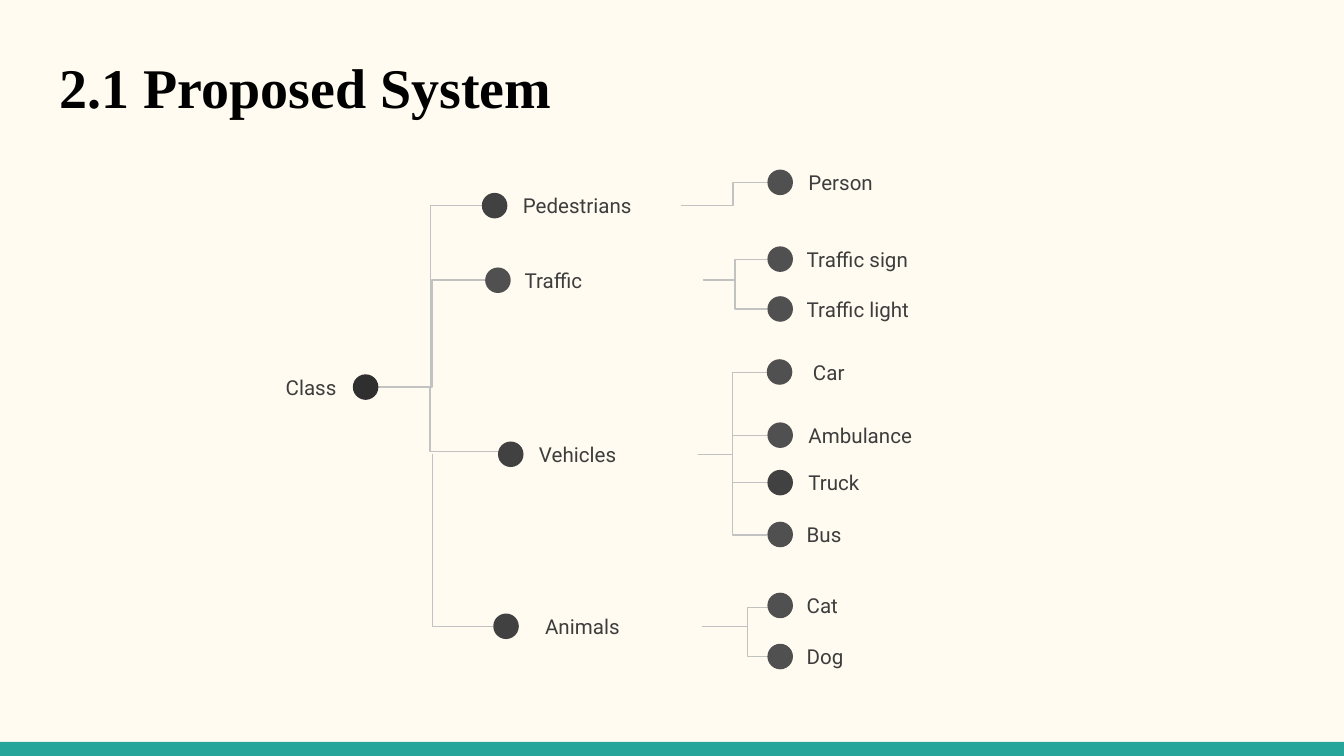
from lxml import etree
from pptx import Presentation
from pptx.dml.color import RGBColor
from pptx.enum.shapes import MSO_CONNECTOR as CONN, MSO_SHAPE as SHAPE
from pptx.enum.text import MSO_ANCHOR as ANCHOR, PP_ALIGN as ALIGN
from pptx.oxml.ns import qn
from pptx.util import Inches, Pt

# A 16:9 slide
prs = Presentation()
prs.slide_width = Inches(10)
prs.slide_height = prs.slide_width * 9 // 16
s = prs.slides.add_slide(prs.slide_layouts[6])

# Grid of 1000 columns by 562.5 rows
COL, ROW = prs.slide_width / 1000, prs.slide_height / 562.5
DOT, LABEL_H = 19, 35


def box(x, y, w, h):
    return [round(v) for v in (x * COL, y * ROW, w * COL, h * ROW)]


def rgb(code):
    return RGBColor.from_string(code)


# Background and bottom bar
s.background.fill.solid()
s.background.fill.fore_color.rgb = rgb("FFFBF0")
bar = s.shapes.add_shape(SHAPE.RECTANGLE, *box(0, 552, 1000, 10.5))
bar.shadow.inherit = False
bar.fill.solid()
bar.fill.fore_color.rgb = rgb("26A69A")
bar.line.fill.background()

# Title
title = s.shapes.add_textbox(*box(34.5, 29, 932, 67))
tf = title.text_frame
tf.word_wrap = True
for side in ("left", "top", "right", "bottom"):
    setattr(tf, f"margin_{side}", Inches(0.1))
r = tf.paragraphs[0].add_run()
r.text = "2.1 Proposed System"
for name, value in {"name": "Times New Roman", "size": Pt(30), "bold": True}.items():
    setattr(r.font, name, value)
r.font.color.rgb = rgb("000000")

# Elbow lines: start x, start y, end x, end y, share of the width where it bends
elbows = [
    (269, 288, 371, 336, 0.5),
    (282, 288, 359, 153, 0.5),
    (322, 337.5, 367, 466, 0),
    (507, 153, 571, 136, 0.6),
    *[(519, 338, 571, y, 0.5) for y in (277, 324, 359, 398)],
    *[(522, 466, 590, y, 0.5) for y in (452, 488.5)],
    *[(523, 208.5, 571, y, 0.5) for y in (193, 230)],
    (282, 288, 361, 208.5, 0.5),
]
for x1, y1, x2, y2, bend in elbows:
    c = s.shapes.add_connector(CONN.ELBOW, *box(x1, y1, x2, y2))
    c.line.color.rgb = rgb("C2C2C2")
    c.line.width = Pt(0.75)
    sp_pr = c._element.spPr
    etree.SubElement(sp_pr, qn("a:effectLst"))
    guides = sp_pr.find(qn("a:prstGeom")).find(qn("a:avLst"))
    etree.SubElement(guides, qn("a:gd"), name="adj1", fmla=f"val {round(bend * 100000)}")

# Nodes: text, dot x, dot y, label x, label width, corner rounding, dot colour
nodes = [
    ("Class", 262.5, 278.5, 133, 129, 0.167, "2F2F2F"),
    ("Pedestrians", 358.5, 143.5, 377.5, 129, 0.167, "414141"),
    ("Traffic", 361, 199, 380.5, 143, 0, "505050"),
    ("Vehicles", 370.5, 328.5, 389.5, 129, 0.167, "414141"),
    ("Animals", 367, 456.5, 394, 129, 0.167, "414141"),
    ("Person", 571, 126.2, 590, 129, 0.167, "505050"),
    ("Traffic sign", 571, 183.3, 590.4, 143, 0, "505050"),
    ("Traffic light", 571, 220.4, 590.4, 143, 0, "505050"),
    ("Car", 570.5, 267.3, 593.4, 124, 0.167, "505050"),
    ("Ambulance", 571, 314.3, 590, 127, 0.167, "505050"),
    ("Truck", 571, 349.6, 590, 127, 0.167, "414141"),
    ("Bus", 571, 388.2, 590.4, 143, 0, "505050"),
    ("Cat", 571, 441, 590.4, 143, 0, "505050"),
    ("Dog", 571, 479, 590.4, 143, 0, "505050"),
]
for text, dot_x, dot_y, label_x, label_w, corner, colour in nodes:
    label_y = dot_y - (LABEL_H - DOT) / 2
    label = s.shapes.add_shape(SHAPE.ROUNDED_RECTANGLE, *box(label_x, label_y, label_w, LABEL_H))
    label.adjustments[0] = corner
    label.fill.background()
    dot = s.shapes.add_shape(SHAPE.OVAL, *box(dot_x, dot_y, DOT, DOT))
    dot.fill.solid()
    dot.fill.fore_color.rgb = rgb(colour)
    for sp in (label, dot):
        sp.shadow.inherit = False
        sp.line.fill.background()

    tf = label.text_frame
    tf.word_wrap = True
    tf.vertical_anchor = ANCHOR.MIDDLE
    for side in ("left", "top", "right", "bottom"):
        setattr(tf, f"margin_{side}", Inches(0.1))
    p = tf.paragraphs[0]
    p.alignment = ALIGN.RIGHT if label_x < dot_x else ALIGN.LEFT
    r = p.add_run()
    r.text = text
    for name, value in {"name": "Roboto", "size": Pt(11)}.items():
        setattr(r.font, name, value)
    r.font.color.rgb = rgb("3D3D3D")

prs.save("out.pptx")
